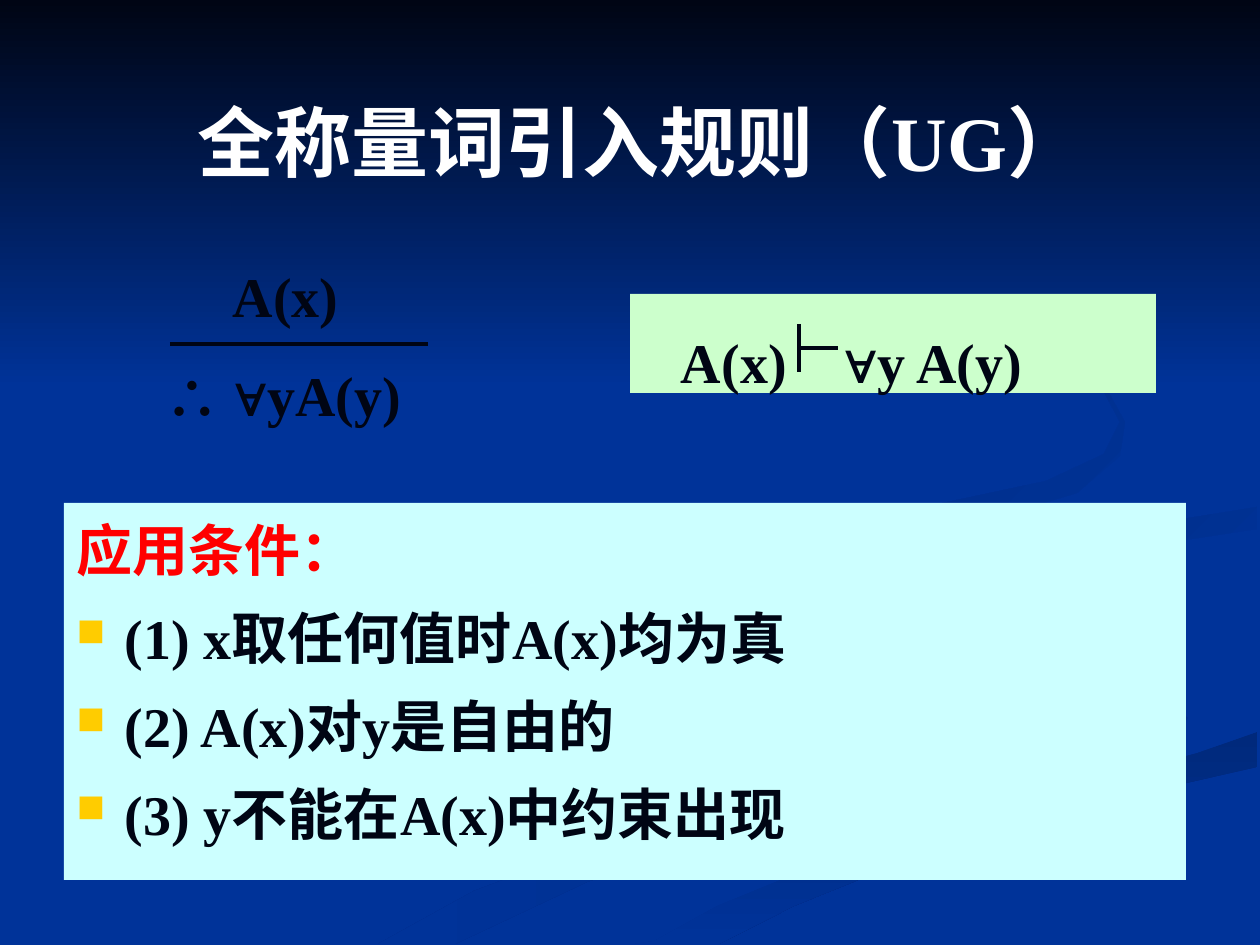
from dataclasses import dataclass

from lxml.etree import SubElement
from pptx import Presentation
from pptx.dml.color import RGBColor as Color
from pptx.enum.shapes import MSO_CONNECTOR as Connector, MSO_SHAPE as Shape
from pptx.enum.text import MSO_ANCHOR as Anchor, PP_ALIGN as Align
from pptx.oxml.ns import qn
from pptx.util import Emu, Pt

PX = 914400 / 126
WIDTH, HEIGHT = 1260, 945


@dataclass(frozen=True)
class Theme:
    font: str = "Times New Roman"
    title_size: int = 44
    body_size: int = 32
    rule_width: int = 2
    blue: str = "003399"
    ink: str = "000514"
    white: str = "FFFFFF"
    red: str = "FF0000"
    bullet: str = "FFCC00"
    green_panel: str = "CCFFCC"
    cyan_panel: str = "CCFFFF"


THEME = Theme()

# Swooshes: (start colour, end colour, clockwise angle, outline in px)
SWOOSHES = [
    ("002E8A", THEME.blue, 180, [
        (984, 697), (939, 678), (859, 654), (789, 633), (740, 606), (723, 585),
        (718, 595), (747, 619), (824, 646), (917, 674), (978, 697), (990, 713),
        (966, 740), (900, 762), (776, 793), (629, 833), (474, 891), (378, 944),
        (455, 944), (587, 882), (748, 827), (908, 785), (983, 762), (1008, 732),
        (998, 707)]),
    ("002E8A", THEME.blue, 225, [
        (1188, 718), (1158, 689), (1071, 660), (975, 634), (924, 609), (912, 585),
        (920, 609), (951, 636), (1027, 668), (1109, 692), (1148, 714), (1157, 732),
        (1126, 762), (1174, 742)]),
    ("00297C", THEME.blue, 90, [
        (634, 944), (719, 944), (794, 906), (910, 859), (1034, 820), (1138, 794),
        (1257, 767), (1257, 732), (1197, 753), (1092, 781), (963, 815), (834, 858),
        (717, 906), (654, 941)]),
    (THEME.blue, THEME.blue, 0, [
        (914, 585), (939, 617), (999, 641), (1097, 668), (1173, 697), (1188, 718),
        (1173, 743), (1095, 770), (936, 810), (780, 862), (601, 944), (634, 944),
        (654, 941), (717, 906), (834, 858), (963, 815), (1092, 781), (1197, 753),
        (1257, 732), (1259, 678), (1163, 659), (1048, 627), (990, 596), (985, 580),
        (1008, 557), (1090, 534), (1220, 515), (1259, 507), (1259, 488), (1159, 505),
        (1018, 525), (935, 553)]),
    (THEME.blue, "002C85", 225, [
        (984, 580), (990, 597), (1041, 625), (1014, 600), (1019, 587), (1062, 564),
        (1179, 541), (1257, 529), (1257, 507), (1090, 534), (1007, 557)]),
    (THEME.blue, "002B81", 225, [
        (861, 542), (990, 519), (1077, 493), (1120, 456), (1125, 422), (1100, 377),
        (1034, 329), (960, 294), (1041, 335), (1096, 377), (1120, 422), (1104, 454),
        (1046, 481), (887, 515), (762, 546), (727, 582), (751, 615), (784, 630),
        (748, 598), (757, 575), (800, 554)]),
]


def px(value):
    return Emu(round(value * PX))


def paint(fill, colour):
    fill.solid()
    fill.fore_color.rgb = Color.from_string(colour)


class Builder:
    def __init__(self, page, theme):
        self.page = page
        self.theme = theme

    def background(self):
        paint(self.page.background.fill, self.theme.blue)

    def place(self, item, left, top, width, height):
        item.left, item.top = px(left), px(top)
        item.width, item.height = px(width), px(height)

    def style(self, para, colour=None, size=None):
        font = para.font
        font.name, font.bold = self.theme.font, True
        font.size = Pt(size or self.theme.body_size)
        font.color.rgb = Color.from_string(colour or self.theme.ink)

    def shade(self, shape, start, end, angle):
        shape.shadow.inherit = False
        shape.line.fill.background()
        if start == end:
            paint(shape.fill, start)
            return
        shape.fill.gradient()
        shape.fill.gradient_angle = (360 - angle) % 360
        for stop, colour in zip(shape.fill.gradient_stops, (start, end)):
            stop.color.rgb = Color.from_string(colour)

    def swoosh(self, start, end, angle, points):
        outline = self.page.shapes.build_freeform(*points[0], scale=PX)
        outline.add_line_segments(points[1:], close=True)
        self.shade(outline.convert_to_shape(), start, end, angle)

    def panel(self, left, top, width, height, start, end=None, angle=0):
        shape = self.page.shapes.add_shape(
            Shape.RECTANGLE, px(left), px(top), px(width), px(height))
        self.shade(shape, start, end or start, angle)
        frame = shape.text_frame
        frame.word_wrap, frame.vertical_anchor = True, Anchor.TOP
        return frame

    def title(self, text, *area):
        title = self.page.shapes.title
        title.element.getparent().append(title.element)  # above the backdrop
        self.place(title, *area)
        title.text_frame.text = text
        title.text_frame.vertical_anchor = Anchor.MIDDLE
        para = title.text_frame.paragraphs[0]
        para.alignment = Align.CENTER
        self.style(para, self.theme.white, self.theme.title_size)

    def label(self, text, *area):
        box = self.page.shapes.add_textbox(*map(px, area))
        box.text_frame.word_wrap = False
        para = box.text_frame.paragraphs[0]
        para.text, para.alignment = text, Align.CENTER
        self.style(para)

    def line(self, x1, y1, x2, y2):
        line = self.page.shapes.add_connector(
            Connector.STRAIGHT, px(x1), px(y1), px(x2), px(y2))
        line.line.width = Pt(self.theme.rule_width)
        line.line.color.rgb = Color.from_string(self.theme.ink)
        SubElement(line.element.spPr, qn("a:effectLst"))

    def paragraph(self, frame, text, spacing, colour=None, first=False):
        para = frame.paragraphs[0] if first else frame.add_paragraph()
        para.text, para.alignment = text, Align.LEFT
        para.line_spacing = spacing
        para.space_before = Pt(0 if first else 8)
        self.style(para, colour)
        return para

    def add_bullet(self, para, indent):
        props = para._p.get_or_add_pPr()
        props.set("marL", str(px(indent)))
        props.set("indent", str(-px(indent)))
        marks = [SubElement(props, qn("a:" + tag)) for tag in ("buClr", "buSzPct", "buChar")]
        SubElement(marks[0], qn("a:srgbClr")).set("val", self.theme.bullet)
        marks[1].set("val", "70000")
        marks[2].set("char", "■")
        props.append(props.find(qn("a:defRPr")))

    def add_tab(self, para, position):
        props = para._p.get_or_add_pPr()
        stop = SubElement(SubElement(props, qn("a:tabLst")), qn("a:tab"))
        stop.set("pos", str(px(position)))
        stop.set("algn", "l")
        props.append(props.find(qn("a:defRPr")))


def main():
    deck = Presentation()
    deck.slide_width, deck.slide_height = px(WIDTH), px(HEIGHT)
    build = Builder(deck.slides.add_slide(deck.slide_layouts[5]), THEME)

    # Backdrop
    build.background()
    for swoosh in SWOOSHES:
        build.swoosh(*swoosh)
    build.panel(0, 0, WIDTH, 388, THEME.ink, THEME.blue, 90)

    build.title("全称量词引入规则（UG）", 74, 86, 1134, 110)

    # Rule as a sequent, with a drawn turnstile in the tab gap
    sequent = build.panel(630, 294, 526, 99, THEME.green_panel)
    sequent.margin_left, sequent.margin_top = px(51), px(20)
    para = build.paragraph(sequent, "A(x)\t∀y A(y)", 1.2, first=True)
    build.add_tab(para, 163)
    build.line(799, 324, 799, 372)
    build.line(799, 348, 838, 348)

    # Rule as a fraction
    build.line(170, 344, 428, 344)
    build.label("A(x)", 213, 255, 145, 81)
    build.label("∴ ∀yA(y)", 132, 354, 302, 81)

    # Conditions of use
    conditions = build.panel(64, 503, 1122, 377, THEME.cyan_panel)
    build.paragraph(conditions, "应用条件：", 1.1, THEME.red, first=True)
    for text in ("(1) x取任何值时A(x)均为真", "(2) A(x)对y是自由的", "(3) y不能在A(x)中约束出现"):
        build.add_bullet(build.paragraph(conditions, text, 1.1), 48)

    deck.save("out.pptx")


if __name__ == "__main__":
    main()
